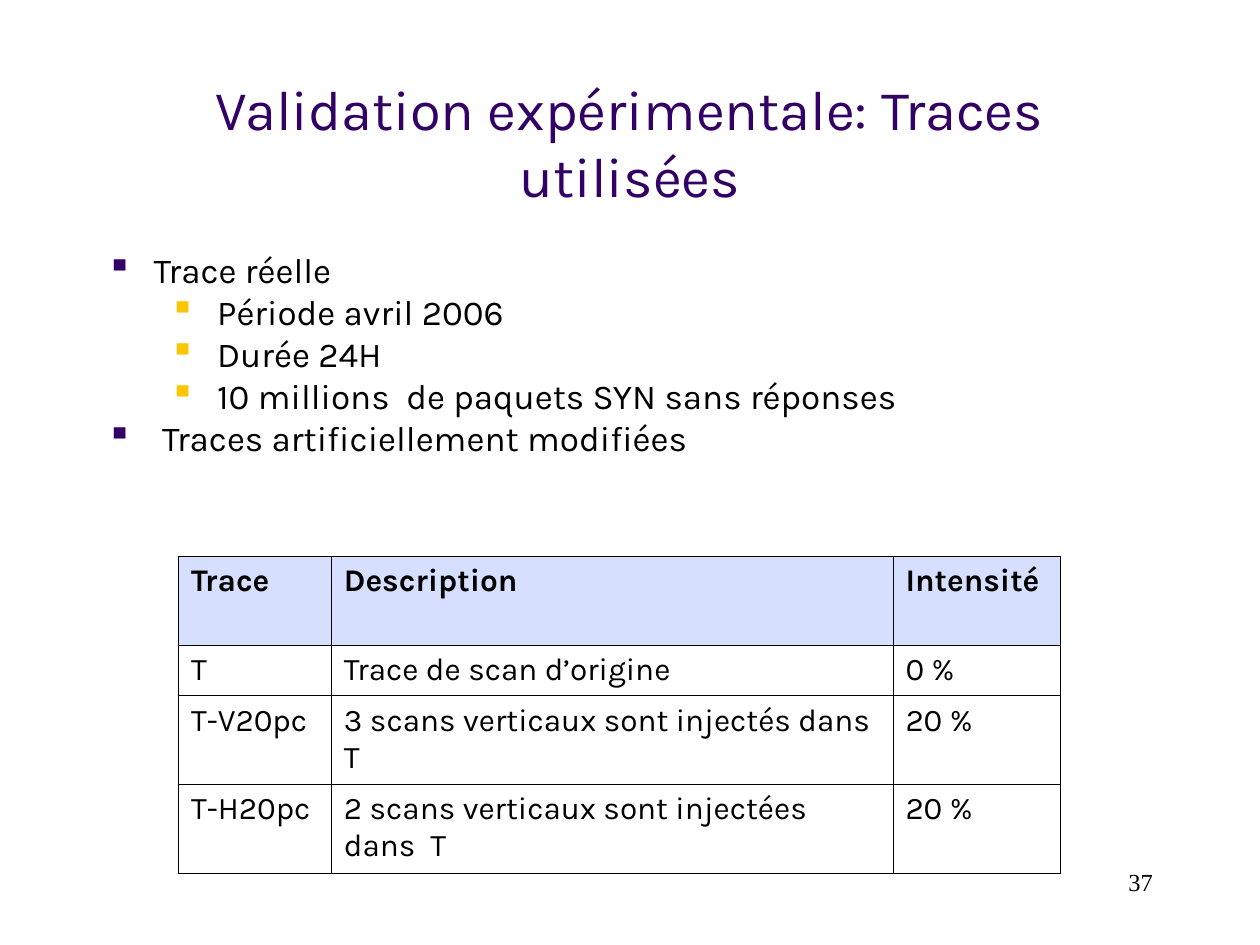
from dataclasses import dataclass

from lxml import etree
from pptx import Presentation
from pptx import util as u
from pptx.dml.color import RGBColor
from pptx.enum import text
from pptx.oxml import ns

COLORS = {
    "title": "330066",
    "accent": "FFC600",
    "ink": "000000",
    "header": "D7DFFF",
}
FONT = "Karla"
OUTER, INNER = u.Pt(1.08), u.Pt(0.45)


@dataclass(frozen=True)
class Area:
    left: float
    top: float
    width: float
    height: float

    def lengths(self) -> list[u.Length]:
        return [u.Cm(side) for side in (self.left, self.top, self.width, self.height)]


@dataclass(frozen=True)
class BulletStyle:
    level: int
    margin: float
    hanging: float
    color: str


@dataclass(frozen=True)
class Bullet:
    wording: str
    style: BulletStyle


TOPIC = BulletStyle(0, 0.95, 0.95, "title")
DETAIL = BulletStyle(1, 2.06, 0.79, "accent")

BULLETS = [
    Bullet("Trace réelle", TOPIC),
    Bullet(" Période avril 2006", DETAIL),
    Bullet(" Durée 24H", DETAIL),
    Bullet(" 10 millions  de paquets SYN sans réponses", DETAIL),
    Bullet(" Traces artificiellement modifiées", TOPIC),
]

TRACES = [
    ("Trace", "Description", "Intensité"),
    ("T", "Trace de scan d’origine", "0 %"),
    ("T-V20pc", "3 scans verticaux sont injectés dans T", "20 %"),
    ("T-H20pc", "2 scans verticaux sont injectées dans  T", "20 %"),
]
COLUMN_WIDTHS = [3.08, 11.32, 3.38]
ROW_HEIGHTS = [1.79, 1.01, 1.79, 1.79]


def add_span(paragraph, wording: str, size: float, color: str = "ink",
             font: str = FONT, bold: bool = False) -> None:
    span = paragraph.add_run()
    span.text = wording
    span.font.size = u.Pt(size)
    span.font.name = font
    span.font.bold = bold
    span.font.color.rgb = RGBColor.from_string(COLORS[color])


def add_box(page, area: Area):
    frame = page.shapes.add_textbox(*area.lengths()).text_frame
    frame.word_wrap = True
    return frame


def set_bullet(paragraph, style: BulletStyle) -> None:
    paragraph.level = style.level
    properties = paragraph._p.get_or_add_pPr()
    properties.set("marL", str(u.Cm(style.margin)))
    properties.set("indent", str(-u.Cm(style.hanging)))
    tint = etree.SubElement(properties, ns.qn("a:buClr"))
    etree.SubElement(tint, ns.qn("a:srgbClr"), val=COLORS[style.color])
    etree.SubElement(properties, ns.qn("a:buChar"), char="▪")


def set_borders(cell, widths: dict[str, u.Length]) -> None:
    properties = cell._tc.get_or_add_tcPr()
    for side, width in widths.items():
        line = etree.SubElement(properties, ns.qn(f"a:ln{side}"), w=str(width))
        fill = etree.SubElement(line, ns.qn("a:solidFill"))
        etree.SubElement(fill, ns.qn("a:srgbClr"), val=COLORS["ink"])


def add_title(page, area: Area, wording: str) -> None:
    frame = add_box(page, area)
    frame.vertical_anchor = text.MSO_ANCHOR.MIDDLE
    para = frame.paragraphs[0]
    para.alignment = text.PP_ALIGN.CENTER
    add_span(para, wording, 32, "title")


def add_bullets(page, area: Area, bullets: list[Bullet]) -> None:
    frame = add_box(page, area)
    for index, bullet in enumerate(bullets):
        para = frame.add_paragraph() if index else frame.paragraphs[0]
        set_bullet(para, bullet.style)
        add_span(para, bullet.wording, 20)


def add_traces(page, area: Area) -> None:
    rows, columns = len(TRACES), len(COLUMN_WIDTHS)
    table = page.shapes.add_table(rows, columns, *area.lengths()).table
    table.first_row = False
    table.horz_banding = False
    for column, width in zip(table.columns, COLUMN_WIDTHS):
        column.width = u.Cm(width)
    for row, height in zip(table.rows, ROW_HEIGHTS):
        row.height = u.Cm(height)
    for r, trace in enumerate(TRACES):
        for c, wording in enumerate(trace):
            cell = table.cell(r, c)
            set_borders(cell, {
                "L": OUTER if c == 0 else INNER,
                "R": OUTER if c == columns - 1 else INNER,
                "T": OUTER if r == 0 else INNER,
                "B": OUTER if r == rows - 1 else INNER,
            })
            if r == 0:
                cell.fill.solid()
                cell.fill.fore_color.rgb = RGBColor.from_string(COLORS["header"])
            else:
                cell.fill.background()
            add_span(cell.text_frame.paragraphs[0], wording, 18, bold=r == 0)


def add_page_number(page, area: Area, number: str) -> None:
    para = add_box(page, area).paragraphs[0]
    para.alignment = text.PP_ALIGN.RIGHT
    add_span(para, number, 14, font="Times New Roman")


def main() -> None:
    deck = Presentation()
    deck.slide_width, deck.slide_height = u.Cm(25.4), u.Cm(19.05)
    page = deck.slides.add_slide(deck.slide_layouts[6])
    add_title(page, Area(1.9, 1.27, 21.6, 3.18),
              "Validation expérimentale: Traces utilisées")
    add_bullets(page, Area(1.9, 4.88, 21.6, 5.51), BULLETS)
    add_traces(page, Area(3.6, 11.22, sum(COLUMN_WIDTHS), sum(ROW_HEIGHTS)))
    add_page_number(page, Area(18.21, 17.35, 5.28, 1.27), "37")
    deck.save("out.pptx")


if __name__ == "__main__":
    main()
